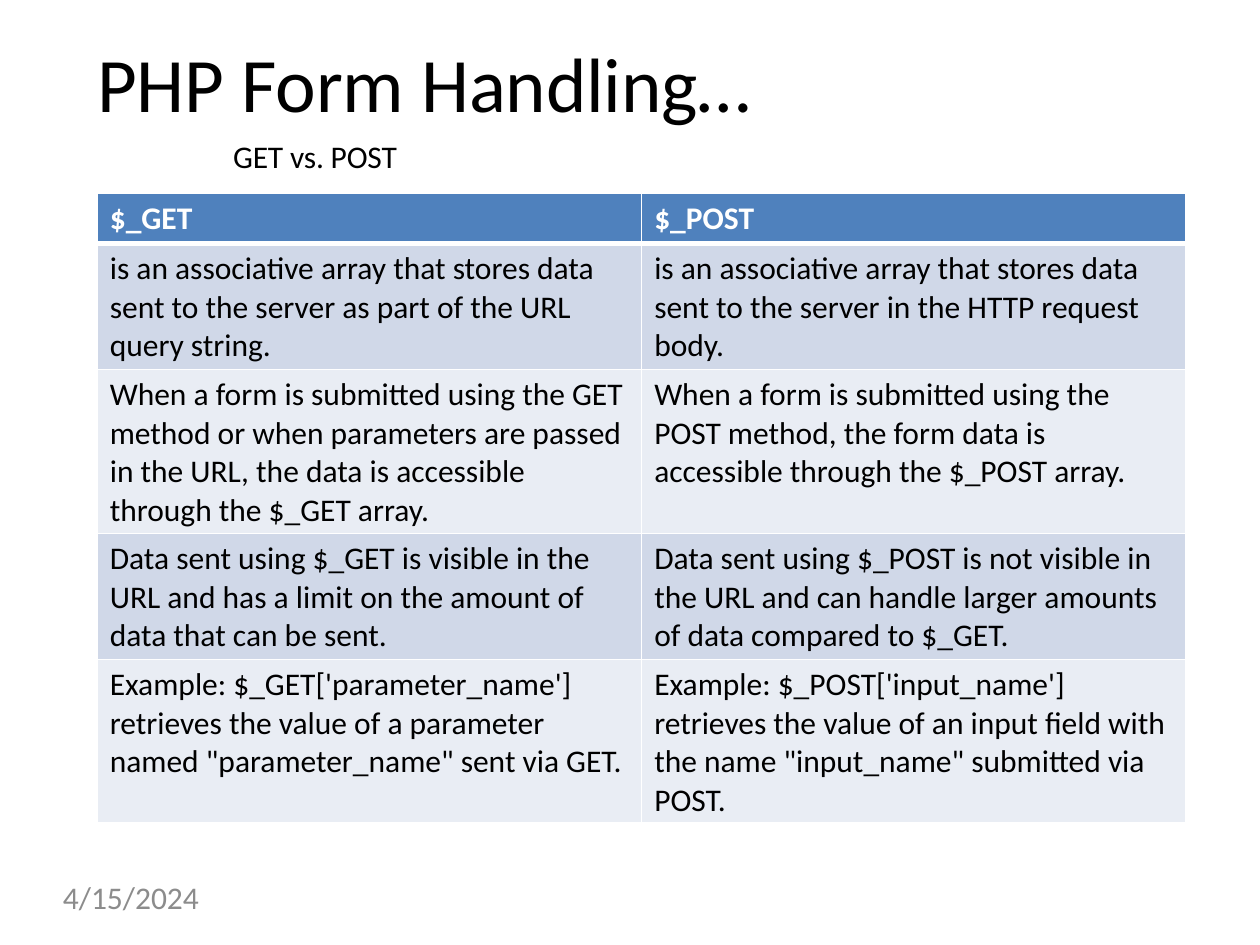
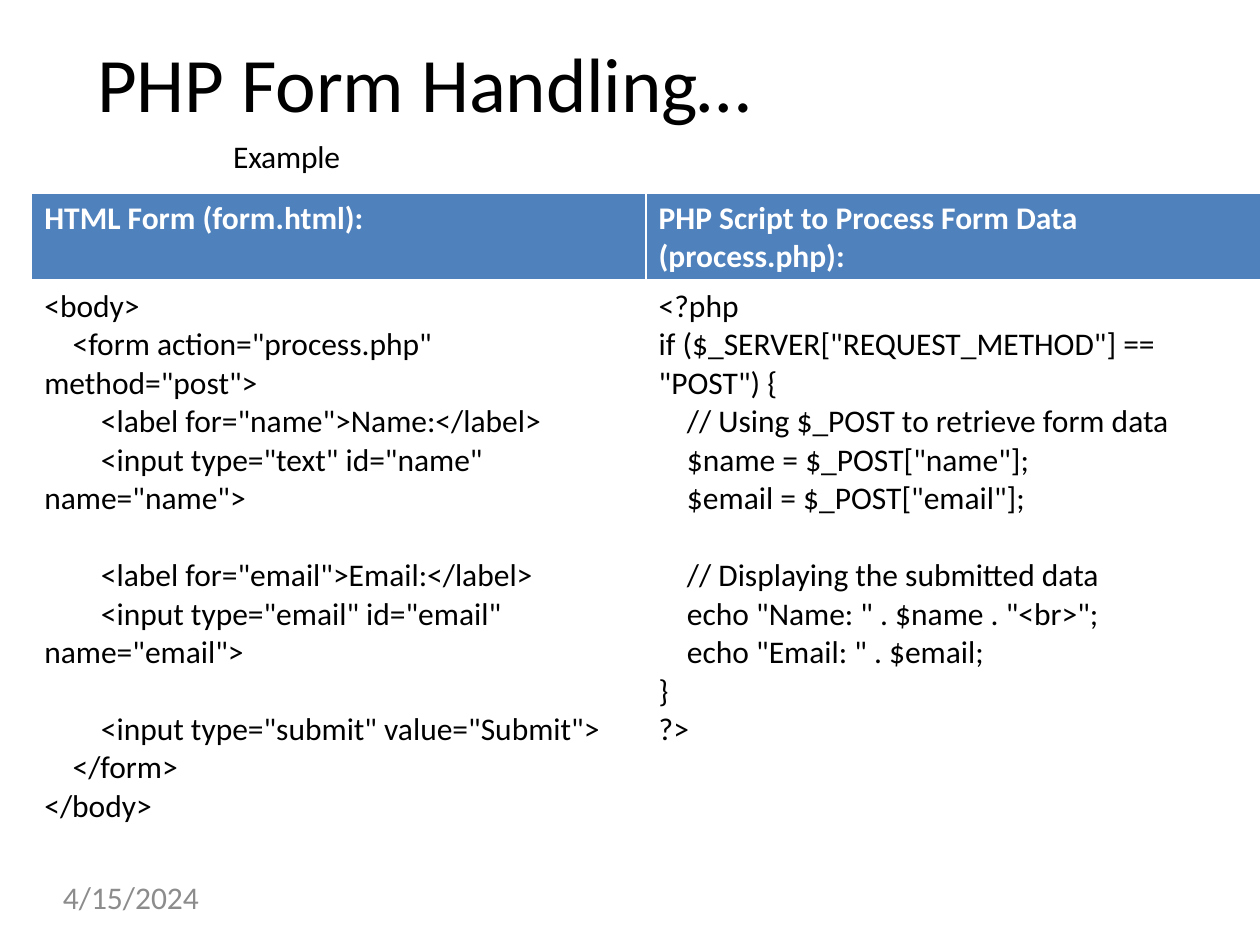
from lxml import etree
from pptx import Presentation
from pptx.dml.color import RGBColor
from pptx.oxml.ns import qn
from pptx.util import Cm, Pt

FONT = "Calibri"
BLACK, WHITE, GREY = "000000", "FFFFFF", "8C8C8C"
HEADER_FILL = "4F81BD"
BAND_FILLS = ("D0D8E8", "E9EDF4")
BODY_SIZE, TITLE_SIZE = 18, 44
THIN, THICK = 1, 3
INDENT_STEP = 0.57
BLANK_LINE = 22

TITLE_BOX = (1.96, 0.69, 15.82, 1.91)
SUBTITLE_BOX = (4.45, 2.64, 8.69, 1.02)
DATE_BOX = (1.27, 17.7, 5.84, 0.97)
TITLE_RUNS = (("PHP", 0), (" Form ", -0.2), ("Handling…", -0.1))
DATE = "4/15/2024"

COMPARISON_BOX = (1.96, 3.89, 21.95, 12.7)
COMPARISON_HEIGHTS = (1.0, 2.5, 3.3, 2.5, 3.3)
COMPARISON = (
    ("$_GET", "$_POST"),
    ("is an associative array that stores data sent to the server as part of the URL query string.",
     "is an associative array that stores data sent to the server in the HTTP request body."),
    ("When a form is submitted using the GET method or when parameters are passed in the URL, "
     "the data is accessible through the $_GET array.",
     "When a form is submitted using the POST method, the form data is accessible "
     "through the $_POST array."),
    ("Data sent using $_GET is visible in the URL and has a limit on the amount of data "
     "that can be sent.",
     "Data sent using $_POST is not visible in the URL and can handle larger amounts of data "
     "compared to $_GET."),
    ("Example: $_GET['parameter_name'] retrieves the value of a parameter named "
     '"parameter_name" sent via GET.',
     "Example: $_POST['input_name'] retrieves the value of an input field with the name "
     '"input_name" submitted via POST.'),
)

CODE_BOX = (0.64, 3.89, 24.77, 13.5)
CODE_HEIGHTS = (1.69, 11.81)
CODE_HEADERS = ("HTML Form (form.html):", "PHP Script to Process Form Data (process.php):")
# Each code line: indent level, blank lines before it, text
HTML_LINES = (
    (0, 0, "<body>"),
    (1, 0, '<form action="process.php" method="post">'),
    (2, 0, '<label for="name">Name:</label>'),
    (2, 0, '<input type="text" id="name" name="name">'),
    (2, 1, '<label for="email">Email:</label>'),
    (2, 0, '<input type="email" id="email" name="email">'),
    (2, 1, '<input type="submit" value="Submit">'),
    (1, 0, "</form>"),
    (0, 0, "</body>"),
)
PHP_LINES = (
    (0, 0, "<?php"),
    (0, 0, 'if ($_SERVER["REQUEST_METHOD"] == "POST") {'),
    (1, 0, "// Using $_POST to retrieve form data"),
    (1, 0, '$name = $_POST["name"];'),
    (1, 0, '$email = $_POST["email"];'),
    (1, 1, "// Displaying the submitted data"),
    (1, 0, 'echo "Name: " . $name . "<br>";'),
    (1, 0, 'echo "Email: " . $email;'),
    (0, 0, "}"),
    (0, 0, "?>"),
)


def color(hex_string):
    return RGBColor.from_string(hex_string)


def add_run(paragraph, text, hex_color=BLACK, size=BODY_SIZE, bold=False, spacing=0):
    run = paragraph.add_run()
    run.text = text
    font_format = {"name": FONT, "size": Pt(size), "bold": bold}
    for name, value in font_format.items():
        setattr(run.font, name, value)
    run.font.color.rgb = color(hex_color)
    if spacing:
        run.font._element.set("spc", str(round(spacing * 100)))


def add_text_box(slide, box, **frame_format):
    """Add an empty text box and return its first paragraph."""
    frame = slide.shapes.add_textbox(*map(Cm, box)).text_frame
    frame.word_wrap = True
    for name, value in frame_format.items():
        setattr(frame, name, value)
    return frame.paragraphs[0]


def add_slide(presentation, subtitle):
    """Add a blank slide with the shared title, subtitle and date."""
    slide = presentation.slides.add_slide(presentation.slide_layouts[6])
    no_margins = dict.fromkeys(("margin_left", "margin_top", "margin_right", "margin_bottom"), 0)

    title = add_text_box(slide, TITLE_BOX, **{**no_margins, "margin_top": Cm(0.03)})
    title.space_before = Pt(1)
    for text, spacing in TITLE_RUNS:
        add_run(title, text, size=TITLE_SIZE, spacing=spacing)

    add_run(add_text_box(slide, SUBTITLE_BOX), subtitle, spacing=-0.1)
    add_run(add_text_box(slide, DATE_BOX, **no_margins), DATE, GREY)
    return slide


def set_borders(cell, row):
    properties = cell._tc.get_or_add_tcPr()
    thick_side = {0: "B", 1: "T"}.get(row)
    for side in "LRTB":
        width = THICK if side == thick_side else THIN
        line = etree.SubElement(properties, qn(f"a:ln{side}"), w=str(Pt(width)))
        fill = etree.SubElement(line, qn("a:solidFill"))
        etree.SubElement(fill, qn("a:srgbClr"), val=WHITE)


def add_table(slide, box, heights, column_count, fills):
    """Add an empty table with one fill per row; None leaves the row unfilled."""
    table = slide.shapes.add_table(len(heights), column_count, *map(Cm, box)).table
    for row, (height, fill) in enumerate(zip(heights, fills)):
        table.rows[row].height = Cm(height)
        for cell in table.rows[row].cells:
            set_borders(cell, row)
            if fill:
                cell.fill.solid()
                cell.fill.fore_color.rgb = color(fill)
            else:
                cell.fill.background()
    return table


def write_row(table, row, texts):
    is_header = row == 0
    for cell, text in zip(table.rows[row].cells, texts):
        add_run(cell.text_frame.paragraphs[0], text, WHITE if is_header else BLACK, bold=is_header)


def write_code(cell, lines):
    frame = cell.text_frame
    for index, (level, blank_lines, text) in enumerate(lines):
        paragraph = frame.add_paragraph() if index else frame.paragraphs[0]
        paragraph.space_before = Pt(blank_lines * BLANK_LINE)
        properties = paragraph._p.get_or_add_pPr()
        properties.set("marL", "0")
        properties.set("indent", str(Cm(level * INDENT_STEP)))
        add_run(paragraph, text)


def build_comparison_slide(presentation):
    slide = add_slide(presentation, "GET vs. POST")
    fills = (HEADER_FILL, *BAND_FILLS, *BAND_FILLS)
    table = add_table(slide, COMPARISON_BOX, COMPARISON_HEIGHTS, 2, fills)
    for row, texts in enumerate(COMPARISON):
        write_row(table, row, texts)


def build_code_slide(presentation):
    slide = add_slide(presentation, "Example")
    table = add_table(slide, CODE_BOX, CODE_HEIGHTS, 2, (HEADER_FILL, None))
    write_row(table, 0, CODE_HEADERS)
    for cell, lines in zip(table.rows[1].cells, (HTML_LINES, PHP_LINES)):
        write_code(cell, lines)


def main():
    presentation = Presentation()
    presentation.slide_width, presentation.slide_height = Cm(25.4), Cm(19.05)
    build_comparison_slide(presentation)
    build_code_slide(presentation)
    presentation.save("out.pptx")


if __name__ == "__main__":
    main()
